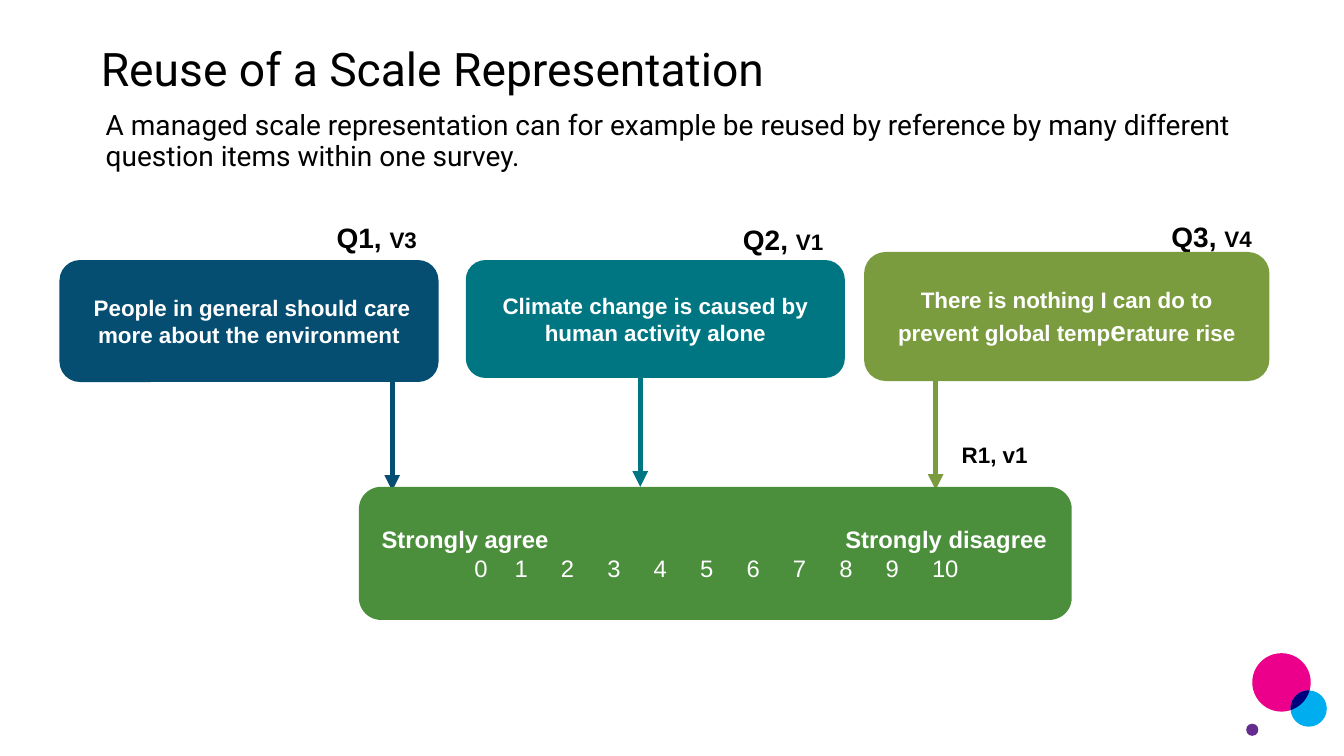
import math

import pptx
import pptx.dml.color
import pptx.enum.shapes
import pptx.enum.text
import pptx.oxml.ns
import pptx.util
from lxml import etree
from pptx.util import Inches

COLORS = {
    "black": "000000", "white": "FFFFFF",
    "blue": "054E72", "teal": "007682", "olive": "7B9C3E", "green": "4B8E3C",
    "pink": "EC008B", "cyan": "00ADEF", "navy": "00007C", "purple": "652C90",
}
SHAPES = pptx.enum.shapes.MSO_SHAPE
ALIGN = pptx.enum.text.PP_ALIGN
ANCHOR = pptx.enum.text.MSO_ANCHOR
ARROW_LENGTH = 1.08

# Box, colour, label (left, top, width, text, version), arrow x, statement runs
QUESTIONS = [
    ((0.59, 2.58, 3.76, 1.21), "blue", (3.24, 2.14, 1.16, "Q1, ", "V3"), 3.89,
     [(" People in general should care more about the environment", 16)]),
    ((4.62, 2.58, 3.76, 1.17), "teal", (7.27, 2.16, 1.67, "Q2, ", "V1"), 6.35,
     [("Climate change is caused by human activity alone", 16)]),
    ((8.57, 2.5, 4.02, 1.28), "olive", (11.52, 2.13, 1.23, "Q3, ", "V4"), 9.28,
     [("There is nothing I can do to prevent global temp", 16), ("e", 20),
      ("rature rise", 16)]),
]


def rgb(name):
    return pptx.dml.color.RGBColor.from_string(COLORS[name])


def add_run(paragraph, text, size, color, bold=True, font="Arial"):
    run = paragraph.add_run()
    run.text = text
    run.font.name = font
    run.font.size = pptx.util.Pt(size)
    run.font.bold = bold
    run.font.color.rgb = rgb(color)


def paint(shape, color):
    shape.shadow.inherit = False
    shape.fill.solid()
    shape.fill.fore_color.rgb = rgb(color)
    shape.line.fill.background()


def add_text(slide, box, runs, bold=True, font="Arial"):
    shape = slide.shapes.add_textbox(*map(Inches, box))
    shape.text_frame.word_wrap = True
    paragraph = shape.text_frame.paragraphs[0]
    for text, size in runs:
        add_run(paragraph, text, size, "black", bold, font)
    return shape


def add_box(slide, box, color):
    shape = slide.shapes.add_shape(SHAPES.ROUNDED_RECTANGLE, *map(Inches, box))
    shape.adjustments[0] = 0.167
    paint(shape, color)
    shape.text_frame.word_wrap = True
    shape.text_frame.vertical_anchor = ANCHOR.MIDDLE
    return shape


def add_arrow(slide, x, top, color):
    connector = slide.shapes.add_connector(
        pptx.enum.shapes.MSO_CONNECTOR.STRAIGHT,
        Inches(x), Inches(top), Inches(x), Inches(top + ARROW_LENGTH))
    connector.line.color.rgb = rgb(color)
    connector.line.width = pptx.util.Pt(3.75)
    qn = pptx.oxml.ns.qn
    etree.SubElement(connector.line._get_or_add_ln(), qn("a:tailEnd"), type="triangle")
    etree.SubElement(connector._element.spPr, qn("a:effectLst"))


def add_tabs(paragraph, positions):
    qn = pptx.oxml.ns.qn
    tab_list = etree.SubElement(paragraph._p.get_or_add_pPr(), qn("a:tabLst"))
    for position in positions:
        etree.SubElement(tab_list, qn("a:tab"), pos=str(Inches(position)), algn="l")


def add_heading(slide, box):
    left, top, width = box
    title = add_text(slide, (left, top, width, 0.62),
                     [("Reuse of a Scale Representation", 33)], False, "Roboto")
    title.text_frame.vertical_anchor = ANCHOR.MIDDLE
    title.text_frame.margin_left = Inches(0.08)
    body = add_text(slide, (left + 0.03, top + 0.66, width, 0.83), [
        ("A managed scale representation can for example be reused by reference "
         "by many different question items within one survey.", 20)], False, "Roboto")
    for shape in (title, body):
        shape.text_frame.paragraphs[0].line_spacing = 0.9


def add_question(slide, box, color, label, arrow_x, statement):
    left, top, width, height = box
    add_arrow(slide, arrow_x, top + height, color)
    label_left, label_top, label_width, name, version = label
    add_text(slide, (label_left, label_top, label_width, 0.45),
             [(name, 20), (version, 16)])
    shape = add_box(slide, box, color)
    paragraph = shape.text_frame.paragraphs[0]
    paragraph.alignment = ALIGN.CENTER
    for text, size in statement:
        add_run(paragraph, text, size, "white")


def add_scale(slide, box):
    left, top, width, height = box
    shape = add_box(slide, box, "green")
    frame = shape.text_frame
    frame.margin_left = Inches(0.16)
    ends = frame.paragraphs[0]
    add_tabs(ends, [4.6])
    add_run(ends, "Strongly agree\tStrongly disagree", 17, "white")
    points = frame.add_paragraph()
    add_tabs(points, [0.92] + [1.32 + 0.46 * step for step in range(10)])
    add_run(points, "".join(f"\t{value}" for value in range(11)), 17, "white", False)
    for paragraph in frame.paragraphs:
        paragraph.alignment = ALIGN.LEFT
    add_text(slide, (left + 5.88, top - 0.5, 2.08, 0.45), [("R1, v1", 16)])


def arc(center, radius, middle, half):
    angles = [middle + half * step / 12 for step in range(-12, 13)]
    return [(center[0] + radius * math.cos(angle), center[1] + radius * math.sin(angle))
            for angle in angles]


def add_corner_circles(slide, left, top):
    circles = [(0.06, 0.76, 0.06, "purple"), (0.35, 0.29, 0.29, "pink"),
               (0.62, 0.55, 0.18, "cyan")]
    for x, y, radius, color in circles:
        paint(slide.shapes.add_shape(
            SHAPES.OVAL, Inches(left + x - radius), Inches(top + y - radius),
            Inches(2 * radius), Inches(2 * radius)), color)

    # Overlap of the two larger circles
    (x1, y1, large, _), (x2, y2, small, _) = circles[1:]
    distance = math.hypot(x2 - x1, y2 - y1)
    direction = math.atan2(y2 - y1, x2 - x1)
    half_large = math.acos((distance**2 + large**2 - small**2) / (2 * distance * large))
    half_small = math.acos((distance**2 + small**2 - large**2) / (2 * distance * small))
    outline = (arc((left + x1, top + y1), large, direction, half_large)
               + arc((left + x2, top + y2), small, direction + math.pi, half_small))
    points = [(Inches(x), Inches(y)) for x, y in outline]
    builder = slide.shapes.build_freeform(*points[0])
    builder.add_line_segments(points[1:], close=True)
    paint(builder.convert_to_shape(), "navy")


def main():
    presentation = pptx.Presentation()
    presentation.slide_width = Inches(13.33)
    presentation.slide_height = Inches(7.5)
    slide = presentation.slides.add_slide(presentation.slide_layouts[6])
    add_corner_circles(slide, 12.36, 6.48)
    add_heading(slide, (0.92, 0.4, 11.5))
    for question in QUESTIONS:
        add_question(slide, *question)
    add_scale(slide, (3.56, 4.83, 7.07, 1.32))
    presentation.save("out.pptx")


if __name__ == "__main__":
    main()
